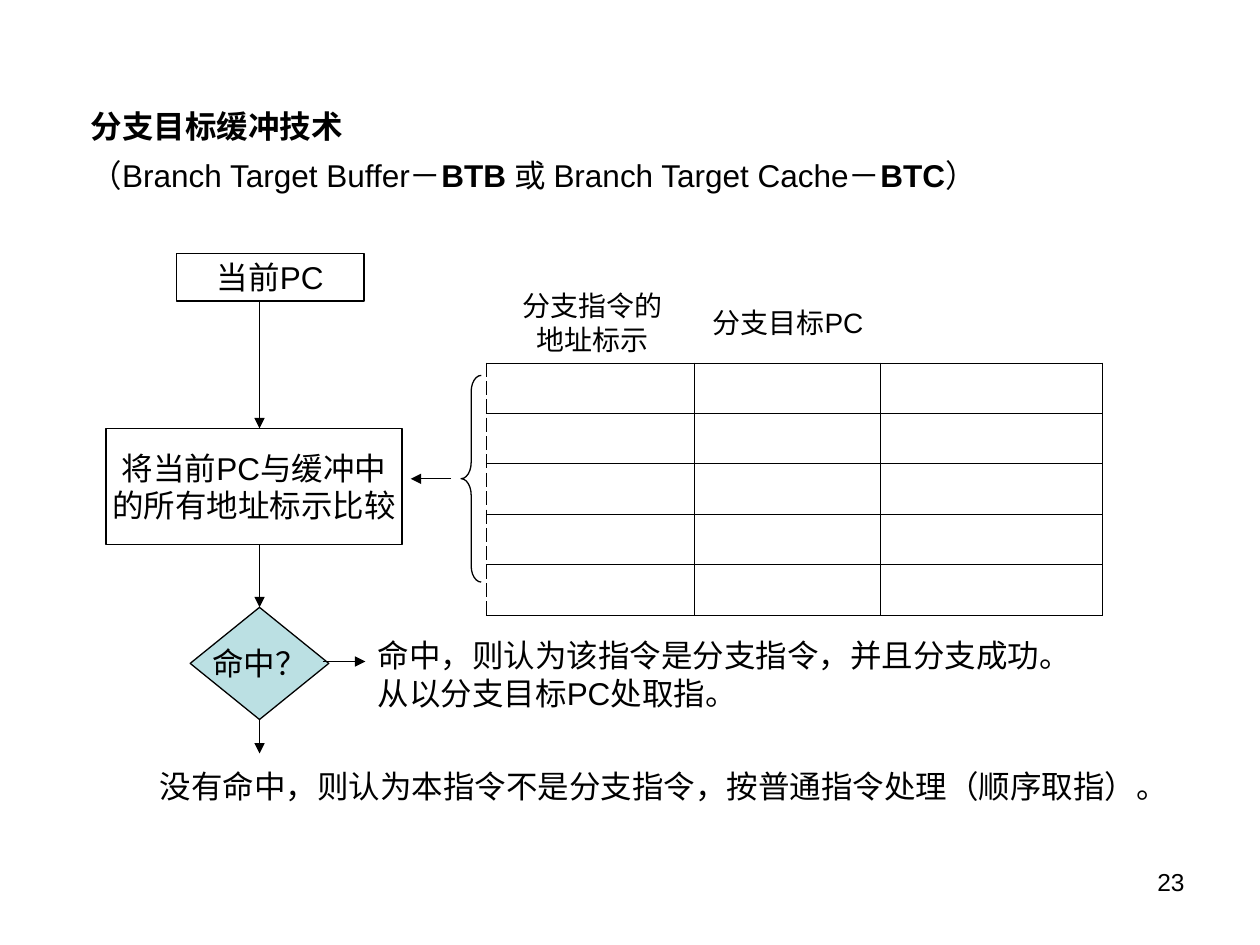
import pptx
import pptx.util
import pptx.dml.color
import pptx.enum.shapes
import pptx.enum.text
import pptx.oxml
import pptx.oxml.ns
from pptx.util import Inches

SHAPES = pptx.enum.shapes.MSO_SHAPE
ALIGN = pptx.enum.text.PP_ALIGN
ANCHOR = pptx.enum.text.MSO_ANCHOR
NAMESPACE = pptx.oxml.ns.nsdecls("a")


def color(value):
    return pptx.dml.color.RGBColor.from_string(value)


def write(shape, lines, size=18, align=ALIGN.LEFT, grow=True):
    frame = shape.text_frame
    frame.word_wrap = False
    if grow:
        frame.auto_size = pptx.enum.text.MSO_AUTO_SIZE.SHAPE_TO_FIT_TEXT
    frame.vertical_anchor = ANCHOR.TOP if grow else ANCHOR.MIDDLE
    frame.text = "\n".join(lines)
    for paragraph in frame.paragraphs:
        paragraph.alignment = align
        paragraph.font.name = "Arial"
        paragraph.font.size = pptx.util.Pt(size)
        paragraph.font.color.rgb = color("000000")
    return frame


presentation = pptx.Presentation()
presentation.slide_width = Inches(10)
presentation.slide_height = Inches(7.5)
slide = presentation.slides.add_slide(presentation.slide_layouts[5])

title = slide.shapes.title
title.left, title.top = Inches(0.62), Inches(0.71)
title.width, title.height = Inches(7.78), Inches(0.88)
heading, subtitle = write(title, ["分支目标缓冲技术", ""]).paragraphs
heading.font.bold = True
for text, bold in [
    ("（Branch Target Buffer－", False),
    ("BTB ", True),
    ("或 Branch Target Cache－", False),
    ("BTC", True),
    ("）", False),
]:
    run = subtitle.add_run()
    run.text = text
    run.font.bold = bold
for paragraph in (heading, subtitle):
    paragraph.line_spacing = 1.3

flow = {}
for name, kind, left, top, width, height, fill, lines in [
    ("current", SHAPES.RECTANGLE, 1.4, 2.01, 1.49, 0.38, "FFFFFF", ["当前PC"]),
    ("compare", SHAPES.RECTANGLE, 0.84, 3.4, 2.35, 0.92, "FFFFFF",
     ["将当前PC与缓冲中", "的所有地址标示比较"]),
    ("hit", SHAPES.DIAMOND, 1.51, 4.82, 1.1, 0.89, "BBE0E3", ["命中？"]),
    ("brace", SHAPES.LEFT_BRACE, 3.66, 2.98, 0.16, 1.64, None, []),
]:
    shape = slide.shapes.add_shape(
        kind, Inches(left), Inches(top), Inches(width), Inches(height))
    shape.shadow.inherit = False
    if fill:
        shape.fill.solid()
        shape.fill.fore_color.rgb = color(fill)
    else:
        shape.fill.background()
    shape.line.color.rgb = color("000000")
    shape.line.width = pptx.util.Pt(0.75)
    if lines:
        write(shape, lines, align=ALIGN.CENTER, grow=False)
    flow[name] = shape
flow["brace"].adjustments[0] = 0.81

column_widths = [1.65, 1.48, 1.76]
row_count, row_height = 5, 0.37
table = slide.shapes.add_table(
    row_count, len(column_widths), Inches(3.86), Inches(2.88),
    Inches(sum(column_widths)), Inches(row_count * row_height)).table
table.first_row = False
table.horz_banding = False
for column, width in zip(table.columns, column_widths):
    column.width = Inches(width)
for row in table.rows:
    row.height = Inches(row_height)
    for index, cell in enumerate(row.cells):
        cell.fill.background()
        properties = cell._tc.get_or_add_tcPr()
        for position, side in enumerate(["lnL", "lnR", "lnT", "lnB"]):
            dash = "dash" if index == 0 and side == "lnL" else "solid"
            border = pptx.oxml.parse_xml(
                f'<a:{side} {NAMESPACE} w="{pptx.util.Pt(0.45)}"><a:solidFill>'
                f'<a:srgbClr val="000000"/></a:solidFill>'
                f'<a:prstDash val="{dash}"/></a:{side}>')
            properties.insert(position, border)

for left, top, width, height, size, align, lines in [
    (4.05, 2.29, 1.31, 0.53, 16, ALIGN.CENTER, ["分支指令的", "地址标示"]),
    (5.56, 2.38, 1.45, 0.37, 16, ALIGN.LEFT, ["分支目标PC"]),
    (2.9, 5, 5.7, 0.7, 18, ALIGN.LEFT,
     ["命中，则认为该指令是分支指令，并且分支成功。", "从以分支目标PC处取指。"]),
    (1.17, 6.04, 8.2, 0.4, 18, ALIGN.LEFT,
     ["没有命中，则认为本指令不是分支指令，按普通指令处理（顺序取指）。"]),
]:
    label = slide.shapes.add_textbox(
        Inches(left), Inches(top), Inches(width), Inches(height))
    frame = write(label, lines, size, align)
    if top == 2.29:
        frame.margin_top = frame.margin_bottom = 0

page_number = slide.shapes.add_textbox(
    Inches(7.17), Inches(6.83), Inches(2.33), Inches(0.52))
write(page_number, ["23"], 14, ALIGN.RIGHT, grow=False)
page_number.text_frame.word_wrap = True
page_number.text_frame.vertical_anchor = ANCHOR.TOP

arrows = []
for start_x, start_y, end_x, end_y in [
    (2.06, 2.39, 2.06, 3.4),
    (2.06, 4.32, 2.06, 4.82),
    (2.06, 5.71, 2.06, 5.98),
    (2.56, 5.25, 2.9, 5.25),
    (3.58, 3.8, 3.26, 3.8),
]:
    arrow = slide.shapes.add_connector(
        pptx.enum.shapes.MSO_CONNECTOR.STRAIGHT,
        Inches(start_x), Inches(start_y), Inches(end_x), Inches(end_y))
    arrow.line.color.rgb = color("000000")
    arrow.line.width = pptx.util.Pt(0.75)
    arrow.line._get_or_add_ln().append(
        pptx.oxml.parse_xml(f'<a:tailEnd {NAMESPACE} type="triangle"/>'))
    arrow._element.spPr.append(pptx.oxml.parse_xml(f"<a:effectLst {NAMESPACE}/>"))
    arrows.append(arrow)
arrows[1].end_connect(flow["hit"], 0)
arrows[2].begin_connect(flow["hit"], 2)

presentation.save("out.pptx")
